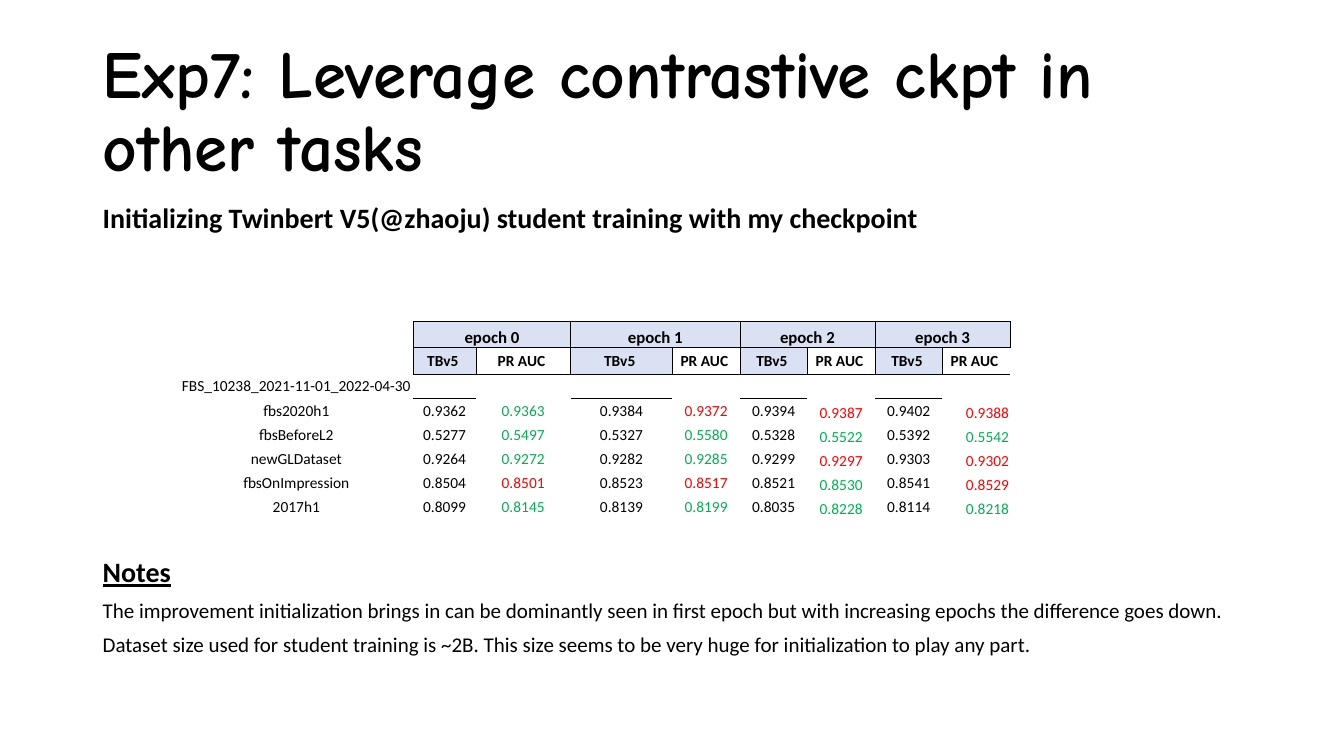
from dataclasses import dataclass

from lxml import etree
from pptx import Presentation
from pptx.dml.color import RGBColor
from pptx.enum import text as t
from pptx.oxml.ns import qn
from pptx.util import Inches, Pt


@dataclass(frozen=True)
class Theme:
    ink: str = "000000"
    better: str = "00B050"
    worse: str = "FF0000"
    header: str = "D9E1F2"
    title_font: str = "Comic Neue"
    body_font: str = "Calibri"
    title: int = 48
    heading: int = 20
    note: int = 15
    epoch: int = 12
    cell: int = 11


THEME = Theme()
PLAIN_STYLE = "{2D5ABB26-0587-4C30-8999-92F81FD0307C}"
COLUMN_WIDTHS = [2.32, 0.62, 0.94, 1.01] + [0.67] * 5
ROW_HEIGHTS = [0.26] * 2 + [0.24] * 6
EPOCHS = 4
DATASET = "FBS_10238_2021-11-01_2022-04-30"
# For each test set: TBv5 and PR AUC, epoch by epoch
SCORES = {
    "fbs2020h1": "0.9362 0.9363 0.9384 0.9372 0.9394 0.9387 0.9402 0.9388",
    "fbsBeforeL2": "0.5277 0.5497 0.5327 0.5580 0.5328 0.5522 0.5392 0.5542",
    "newGLDataset": "0.9264 0.9272 0.9282 0.9285 0.9299 0.9297 0.9303 0.9302",
    "fbsOnImpression": "0.8504 0.8501 0.8523 0.8517 0.8521 0.8530 0.8541 0.8529",
    "2017h1": "0.8099 0.8145 0.8139 0.8199 0.8035 0.8228 0.8114 0.8218",
}


def write(paragraph, words, *, size, font=THEME.body_font, color=THEME.ink, bold=False,
          underline=None, align=None, line=None, before=None):
    paragraph.alignment = align
    paragraph.line_spacing = line
    paragraph.space_before = None if before is None else Pt(before)
    run = paragraph.add_run()
    run.text = words
    run.font.size, run.font.name = Pt(size), font
    run.font.bold, run.font.underline = bold, underline
    run.font.color.rgb = RGBColor.from_string(color)


def add_text_frame(slide, left, top, width, height, anchor):
    frame = slide.shapes.add_textbox(*map(Inches, (left, top, width, height))).text_frame
    frame.word_wrap = True
    frame.vertical_anchor = anchor
    return frame


def add_title(slide):
    frame = add_text_frame(slide, 0.92, 0.4, 11.5, 1.45, t.MSO_ANCHOR.MIDDLE)
    write(frame.paragraphs[0], "Exp7: Leverage contrastive ckpt in other tasks",
          size=THEME.title, font=THEME.title_font, bold=True, line=0.9)


def add_body(slide):
    """Heading and notes share one box; the space above Notes leaves room for the table."""
    frame = add_text_frame(slide, 0.92, 2, 11.5, 4.76, t.MSO_ANCHOR.TOP)
    write(frame.paragraphs[0],
          "Initializing Twinbert V5(@zhaoju) student training with my checkpoint",
          size=THEME.heading, bold=True, line=0.8, before=10)
    write(frame.add_paragraph(), "Notes", size=THEME.heading, bold=True, underline=True,
          line=0.8, before=234)
    for note in (
        "The improvement initialization brings in can be dominantly seen in first epoch "
        "but with increasing epochs the difference goes down.",
        "Dataset size used for student training is ~2B. "
        "This size seems to be very huge for initialization to play any part.",
    ):
        write(frame.add_paragraph(), note, size=THEME.note, line=0.8, before=10)


def draw_borders(cell, sides):
    """Draw thin lines on the given sides, a subset of "LRTB" in that order."""
    properties = cell._tc.get_or_add_tcPr()
    for side in sides:
        line = etree.SubElement(properties, qn(f"a:ln{side}"), w=str(Pt(0.5)))
        solid = etree.SubElement(line, qn("a:solidFill"))
        etree.SubElement(solid, qn("a:srgbClr"), val=THEME.ink)


def fill_cell(cell, words="", *, size=THEME.cell, fill=None, borders="",
              anchor=t.MSO_ANCHOR.MIDDLE, align=t.PP_ALIGN.CENTER, **style):
    cell.margin_left = cell.margin_right = cell.margin_top = Inches(0.01)
    cell.margin_bottom = 0
    cell.vertical_anchor = anchor
    draw_borders(cell, borders)
    if fill:
        cell.fill.solid()
        cell.fill.fore_color.rgb = RGBColor.from_string(fill)
    else:
        cell.fill.background()
    paragraph = cell.text_frame.paragraphs[0]
    if words:
        write(paragraph, words, size=size, align=align, **style)
    else:
        paragraph._p.get_or_add_endParaRPr().set("sz", str(size * 100))


def fill_header(table):
    for row in (0, 1):
        fill_cell(table.cell(row, 0), borders="R")
    fill_cell(table.cell(2, 0), DATASET)
    for epoch in range(EPOCHS):
        left, right = 1 + 2 * epoch, 2 + 2 * epoch
        last = epoch == EPOCHS - 1
        table.cell(0, left).merge(table.cell(0, right))
        for column, words in ((left, f"epoch {epoch}"), (right, "")):
            fill_cell(table.cell(0, column), words, size=THEME.epoch, bold=True,
                      fill=THEME.header, borders="LRTB", anchor=t.MSO_ANCHOR.BOTTOM)
        fill_cell(table.cell(1, left), "TBv5 ", bold=True, fill=THEME.header, borders="LRTB")
        fill_cell(table.cell(1, right), "PR AUC ", bold=True, borders="LT" if last else "LRT")
        fill_cell(table.cell(2, left), borders="T")
        fill_cell(table.cell(2, right))


def fill_scores(table):
    """PR AUC is green where it beats TBv5 in the same epoch, else red."""
    for row, (test_set, line) in enumerate(SCORES.items(), start=3):
        fill_cell(table.cell(row, 0), test_set)
        scores = line.split()
        for epoch in range(EPOCHS):
            baseline, auc = scores[2 * epoch:2 * epoch + 2]
            fill_cell(table.cell(row, 1 + 2 * epoch), baseline)
            fill_cell(
                table.cell(row, 2 + 2 * epoch), auc,
                color=THEME.better if float(auc) > float(baseline) else THEME.worse,
                anchor=t.MSO_ANCHOR.BOTTOM if epoch >= 2 else t.MSO_ANCHOR.MIDDLE,
                align=t.PP_ALIGN.RIGHT if epoch == EPOCHS - 1 else t.PP_ALIGN.CENTER)


def add_score_table(slide):
    table = slide.shapes.add_table(
        len(ROW_HEIGHTS), len(COLUMN_WIDTHS), Inches(1.78), Inches(3.19),
        Inches(sum(COLUMN_WIDTHS)), Inches(sum(ROW_HEIGHTS))).table
    table.first_row = table.horz_banding = False
    table._tbl.tblPr.find(qn("a:tableStyleId")).text = PLAIN_STYLE
    for column, width in zip(table.columns, COLUMN_WIDTHS):
        column.width = Inches(width)
    for row, height in zip(table.rows, ROW_HEIGHTS):
        row.height = Inches(height)
    fill_header(table)
    fill_scores(table)


def main():
    deck = Presentation()
    deck.slide_width, deck.slide_height = Inches(13.33), Inches(7.5)
    slide = deck.slides.add_slide(deck.slide_layouts[6])
    add_title(slide)
    add_body(slide)
    add_score_table(slide)
    deck.save("out.pptx")


if __name__ == "__main__":
    main()
